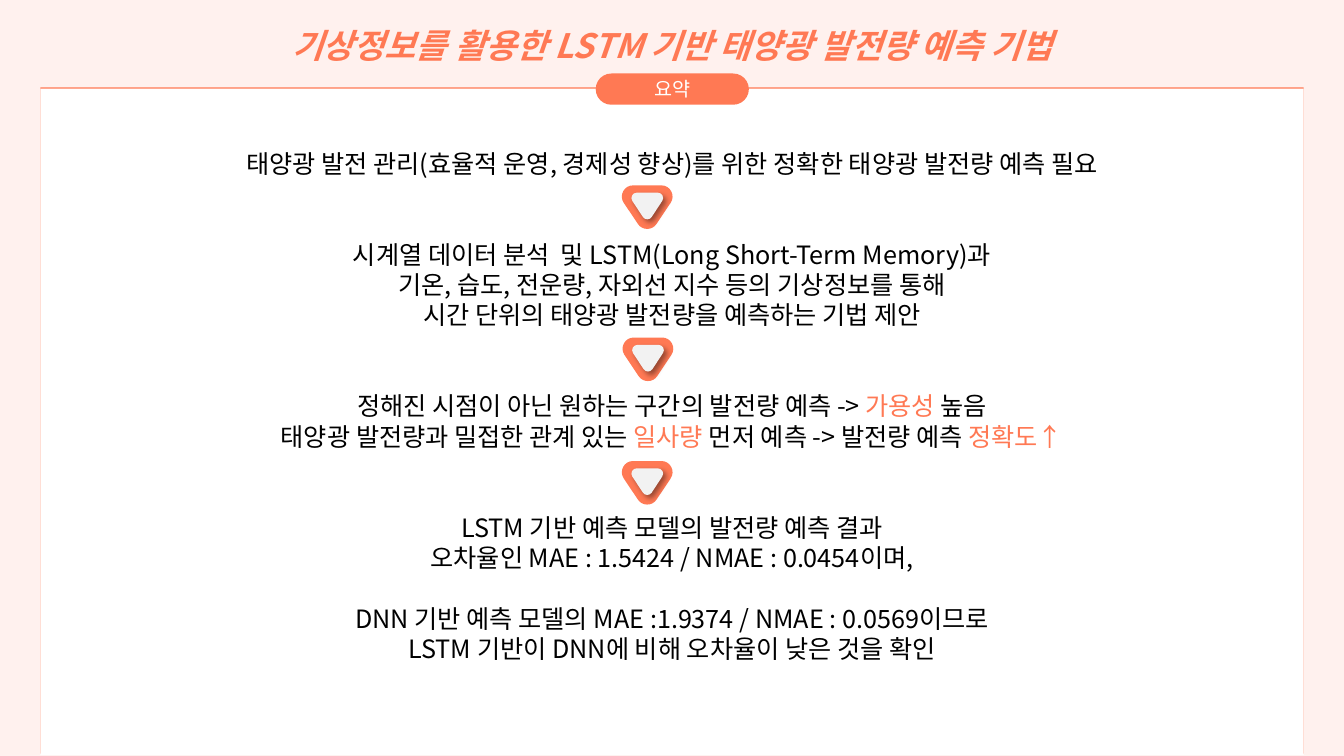
from dataclasses import dataclass

from lxml.etree import SubElement
from pptx import Presentation
from pptx.dml.color import RGBColor
from pptx.enum.shapes import MSO_SHAPE
from pptx.enum.text import MSO_ANCHOR, MSO_AUTO_SIZE, PP_ALIGN
from pptx.oxml.ns import qn
from pptx.util import Pt

FONT = "Noto Sans CJK KR"
CORAL, BLACK, WHITE, GREY, BLUSH = "FF7954", "000000", "FFFFFF", "F2F2F2", "FFF1EE"
SLIDE_WIDTH, SLIDE_HEIGHT = 960, 540
PANEL_LEFT, PANEL_WIDTH = 28.8, 902.4
LINE_PITCH = 21.65


@dataclass
class Shadow:
    color: str
    opacity: int
    blur: float
    distance: float
    angle: int


@dataclass
class Line:
    """One line of the summary; text between asterisks is highlighted."""
    text: str
    blank_lines_before: int = 0


@dataclass
class Arrow:
    left: float
    top: float


LINES = [
    Line("태양광 발전 관리(효율적 운영, 경제성 향상)를 위한 정확한 태양광 발전량 예측 필요"),
    Line("시계열 데이터 분석  및 LSTM(Long Short-Term Memory)과", 2),
    Line("기온, 습도, 전운량, 자외선 지수 등의 기상정보를 통해"),
    Line("시간 단위의 태양광 발전량을 예측하는 기법 제안"),
    Line("정해진 시점이 아닌 원하는 구간의 발전량 예측 -> *가용성* 높음", 2),
    Line("태양광 발전량과 밀접한 관계 있는 *일사량* 먼저 예측 -> 발전량 예측 *정확도↑*"),
    Line("LSTM 기반 예측 모델의 발전량 예측 결과", 2),
    Line("오차율인 MAE : 1.5424 / NMAE : 0.0454이며,"),
    Line("DNN 기반 예측 모델의 MAE :1.9374 / NMAE : 0.0569이므로", 1),
    Line("LSTM 기반이 DNN에 비해 오차율이 낮은 것을 확인"),
]
ARROWS = [Arrow(452.2, 140.4), Arrow(452.7, 249.1), Arrow(452.2, 337.3)]


def rgb(color: str) -> RGBColor:
    return RGBColor.from_string(color)


def place(shape, left: float, top: float, width: float, height: float) -> None:
    shape.left, shape.top = Pt(left), Pt(top)
    shape.width, shape.height = Pt(width), Pt(height)


def write(paragraph, text: str, *, size: float, color: str, bold: bool = False,
          italic: bool = False, line_spacing: float | None = None,
          space_before: float = 0) -> None:
    paragraph.alignment = PP_ALIGN.CENTER
    paragraph.space_before = Pt(space_before)
    if line_spacing:
        paragraph.line_spacing = Pt(line_spacing)
    for index, part in enumerate(text.split("*")):
        if not part:
            continue
        run = paragraph.add_run()
        run.text = part
        font = run.font
        font.name, font.size, font.bold, font.italic = FONT, Pt(size), bold, italic
        font.color.rgb = rgb(CORAL if index % 2 else color)
        SubElement(run._r.get_or_add_rPr(), qn("a:ea"), typeface=FONT)


def set_frame(shape, anchor: MSO_ANCHOR, wrap: bool = True):
    frame = shape.text_frame
    frame.auto_size = MSO_AUTO_SIZE.NONE
    frame.word_wrap = wrap
    frame.vertical_anchor = anchor
    frame.margin_left = frame.margin_right = Pt(7.2)
    frame.margin_top = frame.margin_bottom = Pt(3.6)
    return frame


def add_shape(slide, kind: MSO_SHAPE, left: float, top: float, width: float,
              height: float, fill: str, line_width: float = 0,
              shadow: Shadow | None = None):
    shape = slide.shapes.add_shape(kind, Pt(left), Pt(top), Pt(width), Pt(height))
    shape.fill.solid()
    shape.fill.fore_color.rgb = rgb(fill)
    if line_width:
        shape.line.color.rgb = rgb(fill)
        shape.line.width = Pt(line_width)
        SubElement(shape.line._get_or_add_ln(), qn("a:round"))
    else:
        shape.line.fill.background()
    shape.shadow.inherit = False
    if shadow:
        effects = shape._element.spPr.find(qn("a:effectLst"))
        outer = SubElement(effects, qn("a:outerShdw"), blurRad=str(Pt(shadow.blur)),
                           dist=str(Pt(shadow.distance)), dir=str(shadow.angle * 60000),
                           algn="ctr", rotWithShape="0")
        color = SubElement(outer, qn("a:srgbClr"), val=shadow.color)
        SubElement(color, qn("a:alpha"), val=str(shadow.opacity * 1000))
    return shape


def add_arrow(slide, arrow: Arrow) -> None:
    outer = add_shape(slide, MSO_SHAPE.ISOSCELES_TRIANGLE, arrow.left, arrow.top,
                      20.2, 15.1, CORAL, 16)
    inner = add_shape(slide, MSO_SHAPE.ISOSCELES_TRIANGLE, arrow.left + 2.6,
                      arrow.top + 1, 15.1, 11.5, GREY, 7.5, Shadow(BLACK, 40, 4, 3, 45))
    outer.rotation = inner.rotation = 180


def main() -> None:
    presentation = Presentation()
    presentation.slide_width, presentation.slide_height = Pt(SLIDE_WIDTH), Pt(SLIDE_HEIGHT)
    slide = presentation.slides.add_slide(presentation.slide_layouts[5])
    slide.background.fill.solid()
    slide.background.fill.fore_color.rgb = rgb(BLUSH)

    # Title
    title = slide.shapes.title
    place(title, 0, 0, SLIDE_WIDTH, 45.4)
    write(set_frame(title, MSO_ANCHOR.TOP).paragraphs[0],
          "기상정보를 활용한 LSTM 기반 태양광 발전량 예측 기법",
          size=24, color=CORAL, bold=True, italic=True, line_spacing=43.2)

    # White panel with its label
    add_shape(slide, MSO_SHAPE.RECTANGLE, PANEL_LEFT, 63.4, PANEL_WIDTH, 476, WHITE,
              shadow=Shadow(CORAL, 100, 0, 1, 270))
    label = add_shape(slide, MSO_SHAPE.ROUNDED_RECTANGLE, 425.5, 52.5, 109.4, 22.3, CORAL)
    label.adjustments[0] = 0.5
    write(set_frame(label, MSO_ANCHOR.MIDDLE, wrap=False).paragraphs[0], "요약",
          size=14, color=WHITE)

    # Summary text
    summary = slide.shapes.add_textbox(Pt(PANEL_LEFT), Pt(102.2), Pt(PANEL_WIDTH), Pt(399.6))
    frame = set_frame(summary, MSO_ANCHOR.TOP)
    for index, line in enumerate(LINES):
        paragraph = frame.add_paragraph() if index else frame.paragraphs[0]
        write(paragraph, line.text, size=18, color=BLACK, line_spacing=LINE_PITCH,
              space_before=line.blank_lines_before * LINE_PITCH)

    # Arrows between the steps
    for arrow in ARROWS:
        add_arrow(slide, arrow)

    presentation.save("out.pptx")


if __name__ == "__main__":
    main()
